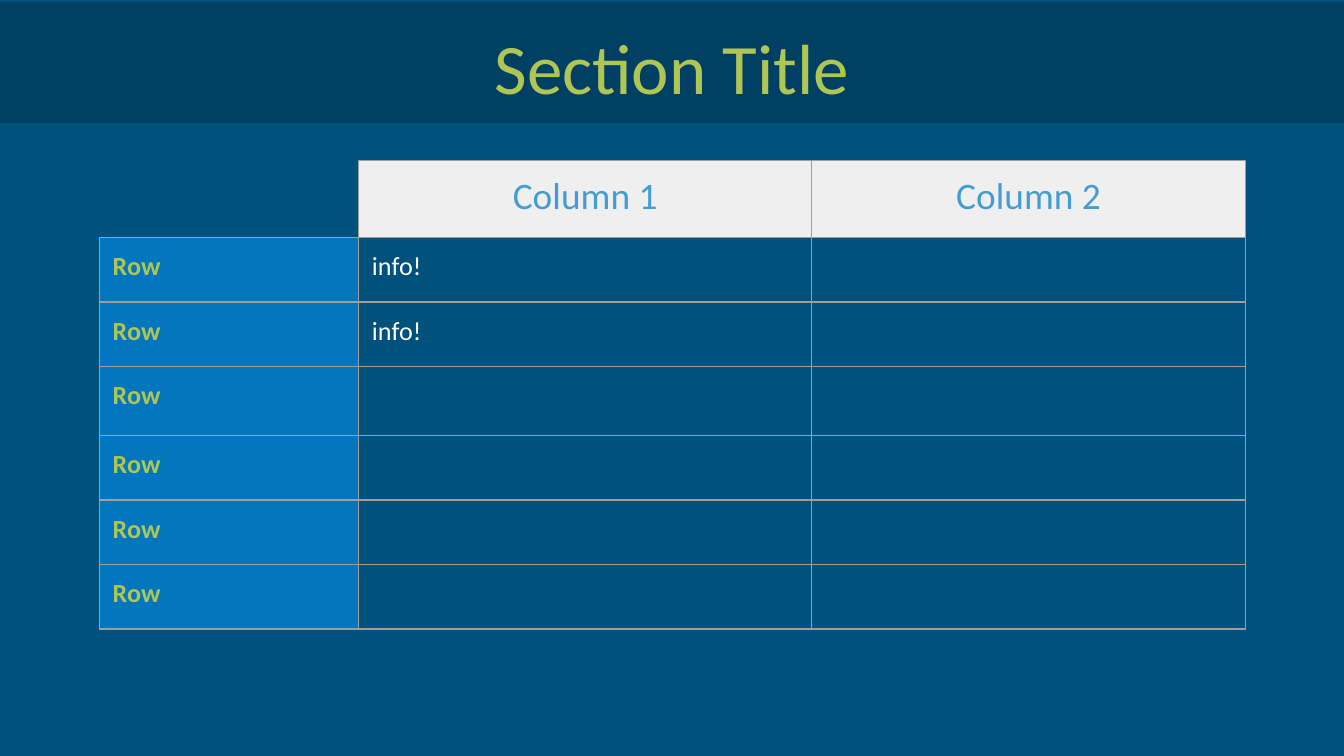
from lxml import etree
from pptx import Presentation
from pptx.dml.color import RGBColor
from pptx.enum.shapes import MSO_SHAPE
from pptx.enum.text import MSO_ANCHOR, PP_ALIGN
from pptx.oxml import parse_xml
from pptx.oxml.ns import qn
from pptx.util import Cm, Pt

RECT = MSO_SHAPE.RECTANGLE
LEFT, CENTER = PP_ALIGN.LEFT, PP_ALIGN.CENTER
MIDDLE = MSO_ANCHOR.MIDDLE
NS = "http://schemas.openxmlformats.org/drawingml/2006/main"
PLAIN = "{2D5ABB26-0587-4C30-8999-92F81FD0307C}"
PAD = Cm(0.25)

COLORS = {
    "back": "00517C",
    "band": "004065",
    "lime": "AFC554",
    "sky": "449DD2",
    "pale": "EFEFEF",
    "blue": "0277BD",
    "grid": "9E9E9E",
    "white": "FFFFFF",
}
COLS = [4.9, 8.56, 8.2]
ROWS = [1.46, 1.22, 1.22, 1.3, 1.22, 1.22, 1.22]
CELLS = [
    ["", "Column 1", "Column 2"],
    ["Row", "info!", ""],
    ["Row", "info!", ""],
] + [["Row", "", ""]] * 4


def tint(name):
    return RGBColor.from_string(COLORS[name])


def write(frame, text, size=14, color="white", bold=False, align=LEFT):
    para = frame.paragraphs[0]
    para.alignment = align
    run = para.add_run()
    run.text = text
    font = run.font
    font.name = "Calibri"
    font.size = Pt(size)
    font.bold = bold
    font.color.rgb = tint(color)
    return run


def shade(run):
    glow = parse_xml(
        f'<a:effectLst xmlns:a="{NS}">'
        '<a:outerShdw blurRad="38100" dist="38100" dir="2700000" algn="tl">'
        '<a:srgbClr val="000000"><a:alpha val="43000"/></a:srgbClr>'
        '</a:outerShdw></a:effectLst>'
    )
    run.font._element.find(qn("a:solidFill")).addnext(glow)


def edge(cell, sides):
    props = cell._tc.get_or_add_tcPr()
    for side in "LRTB":
        line = etree.SubElement(props, qn(f"a:ln{side}"), w=str(Pt(0.75)))
        if side in sides:
            fill = etree.SubElement(line, qn("a:solidFill"))
            etree.SubElement(fill, qn("a:srgbClr"), val=COLORS["grid"])
        else:
            etree.SubElement(line, qn("a:noFill"))


def header(slide, left, top, width, height):
    band = slide.shapes.add_shape(RECT, left, top + Cm(0.05), width, height - Cm(0.23))
    band.shadow.inherit = False
    band.fill.solid()
    band.fill.fore_color.rgb = tint("band")
    band.line.color.rgb = tint("band")
    band.line.width = Pt(0.75)
    slide.shapes._spTree.insert(2, band._element)

    title = slide.shapes.title
    title.left, title.top, title.width, title.height = left, top, width, height
    frame = title.text_frame
    frame.vertical_anchor = MIDDLE
    frame.margin_left = frame.margin_right = PAD
    frame.margin_top = frame.margin_bottom = PAD
    shade(write(frame, "Section Title", size=38, color="lime", align=CENTER))


def style(row, col):
    if row == 0:
        return "pale", {"size": 20, "color": "sky", "align": CENTER}
    if col == 0:
        return "blue", {"color": "lime", "bold": True}
    return None, {}


def grid(slide, left, top, width, height):
    shape = slide.shapes.add_table(len(ROWS), len(COLS), left, top, width, height)
    table = shape.table
    table.first_row = table.horz_banding = False
    table._tbl.tblPr.find(qn("a:tableStyleId")).text = PLAIN
    for col, size in zip(table.columns, COLS):
        col.width = Cm(size)
    for row, size in zip(table.rows, ROWS):
        row.height = Cm(size)
    for i, line in enumerate(CELLS):
        for j, text in enumerate(line):
            cell = table.cell(i, j)
            corner = i == j == 0
            edge(cell, "RB" if corner else "LRTB")
            fill, form = style(i, j)
            if fill and not corner:
                cell.fill.solid()
                cell.fill.fore_color.rgb = tint(fill)
            else:
                cell.fill.background()
            if text:
                cell.margin_left = cell.margin_right = PAD
                cell.margin_top = cell.margin_bottom = PAD
                write(cell.text_frame, text, **form)


def main():
    deck = Presentation()
    deck.slide_width, deck.slide_height = Cm(25.4), Cm(14.29)
    slide = deck.slides.add_slide(deck.slide_layouts[5])
    back = slide.background.fill
    back.solid()
    back.fore_color.rgb = tint("back")
    header(slide, 0, 0, deck.slide_width, Cm(2.49))
    grid(slide, Cm(1.88), Cm(3.03), Cm(sum(COLS)), Cm(sum(ROWS)))
    deck.save("out.pptx")


if __name__ == "__main__":
    main()
